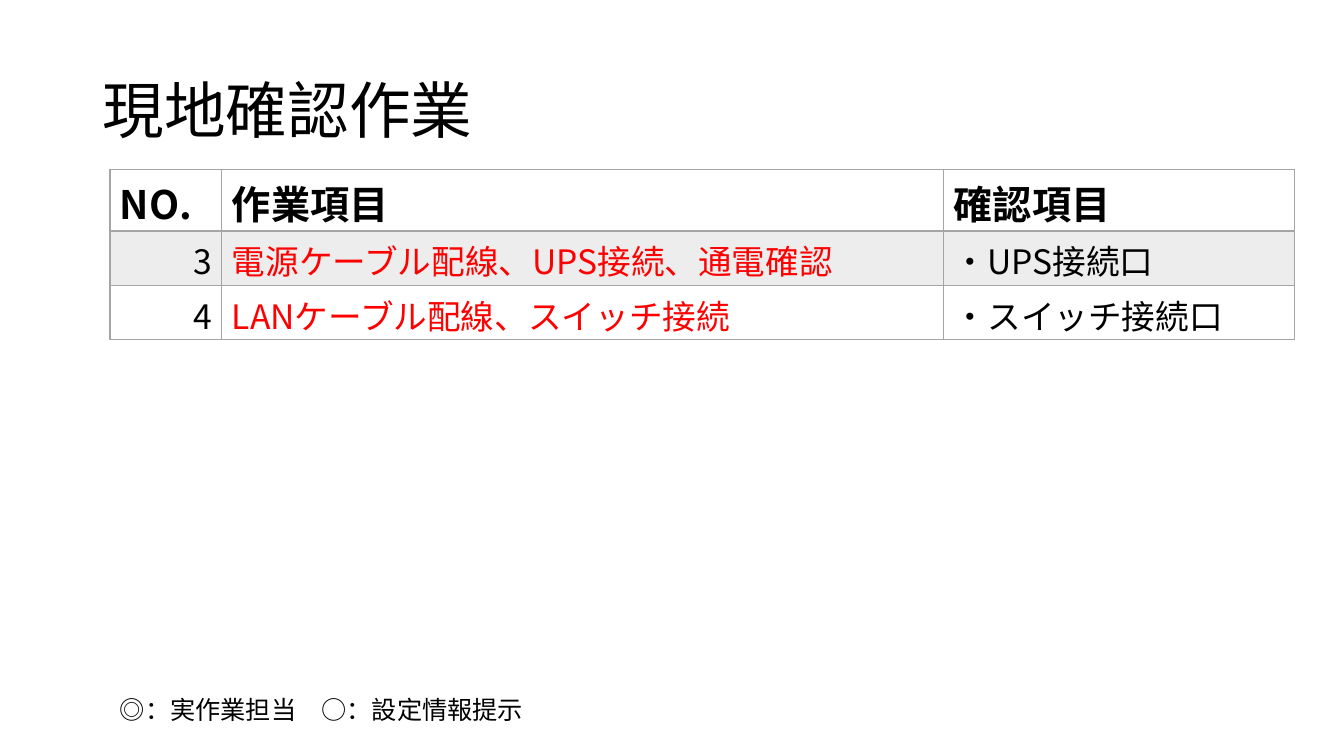
"""Build the on-site check slide: a title, a task table and a legend."""
from lxml.etree import SubElement
from pptx import Presentation
from pptx.dml.color import RGBColor
from pptx.enum.text import MSO_ANCHOR, PP_ALIGN
from pptx.oxml import parse_xml
from pptx.oxml.ns import nsdecls, qn
from pptx.util import Inches, Pt

THEME = {
    "font": "Noto Sans CJK JP",
    "ink": "000000", "alert": "FF0000", "band": "EDEDED", "rule": "A5A5A5",
    "title": 44, "head": 28, "body": 24, "note": 18,
}


def style(para, size, color="ink", bold=False):
    for run in para.runs:
        font = run.font
        font.size = Pt(THEME[size])
        font.bold = bold
        font.name = THEME["font"]
        font.color.rgb = RGBColor.from_string(THEME[color])
        SubElement(run._r.get_or_add_rPr(), qn("a:ea")).set("typeface", THEME["font"])


def edge(cell, side, width):
    return parse_xml(
        f'<a:ln{side} {nsdecls("a")} w="{Pt(width)}"><a:solidFill>'
        f'<a:srgbClr val="{THEME["rule"]}"/></a:solidFill></a:ln{side}>')


deck = Presentation()
deck.slide_width, deck.slide_height = Inches(13.33), Inches(7.5)
slide = deck.slides.add_slide(deck.slide_layouts[6])
shapes = slide.shapes

title = shapes.add_textbox(Inches(0.92), Inches(0.4), Inches(11.5), Inches(1.45)).text_frame
title.word_wrap = True
title.vertical_anchor = MSO_ANCHOR.MIDDLE
title.text = "現地確認作業"
title.paragraphs[0].line_spacing = 0.9
style(title.paragraphs[0], "title")

tasks = [
    ("NO.", "作業項目", "確認項目"),
    ("3", "電源ケーブル配線、UPS接続、通電確認", "・UPS接続口"),
    ("4", "LANケーブル配線、スイッチ接続", "・スイッチ接続口"),
]
widths = [1.11, 7.16, 3.48]
heights = [0.61, 0.54, 0.54]
table = shapes.add_table(len(tasks), len(widths), Inches(1.09), Inches(1.68),
                         Inches(sum(widths)), Inches(sum(heights))).table
table.first_row = table.horz_banding = False
for col, width in zip(table.columns, widths):
    col.width = Inches(width)

for r, task in enumerate(tasks):
    table.rows[r].height = Inches(heights[r])
    for c, words in enumerate(task):
        cell = table.cell(r, c)
        cell.text_frame.text = words
        para = cell.text_frame.paragraphs[0]
        if r == 0:
            cell.vertical_anchor = MSO_ANCHOR.MIDDLE
            style(para, "head", bold=True)
        else:
            style(para, "body", "alert" if c == 1 else "ink")
            para.alignment = PP_ALIGN.RIGHT if c == 0 else PP_ALIGN.LEFT
        if r == 1:
            cell.fill.solid()
            cell.fill.fore_color.rgb = RGBColor.from_string(THEME["band"])
        else:
            cell.fill.background()
        props = cell._tc.get_or_add_tcPr()
        thick = {"L": 1, "R": 1, "T": 2 if r == 1 else 1, "B": 2 if r == 0 else 1}
        for spot, (side, width) in enumerate(thick.items()):
            props.insert(spot, edge(cell, side, width))

note = shapes.add_textbox(Inches(1.09), Inches(6.84), Inches(4.24), Inches(0.4)).text_frame
note.word_wrap = False
note.text = "◎：実作業担当　○：設定情報提示"
style(note.paragraphs[0], "note")

deck.save("out.pptx")
